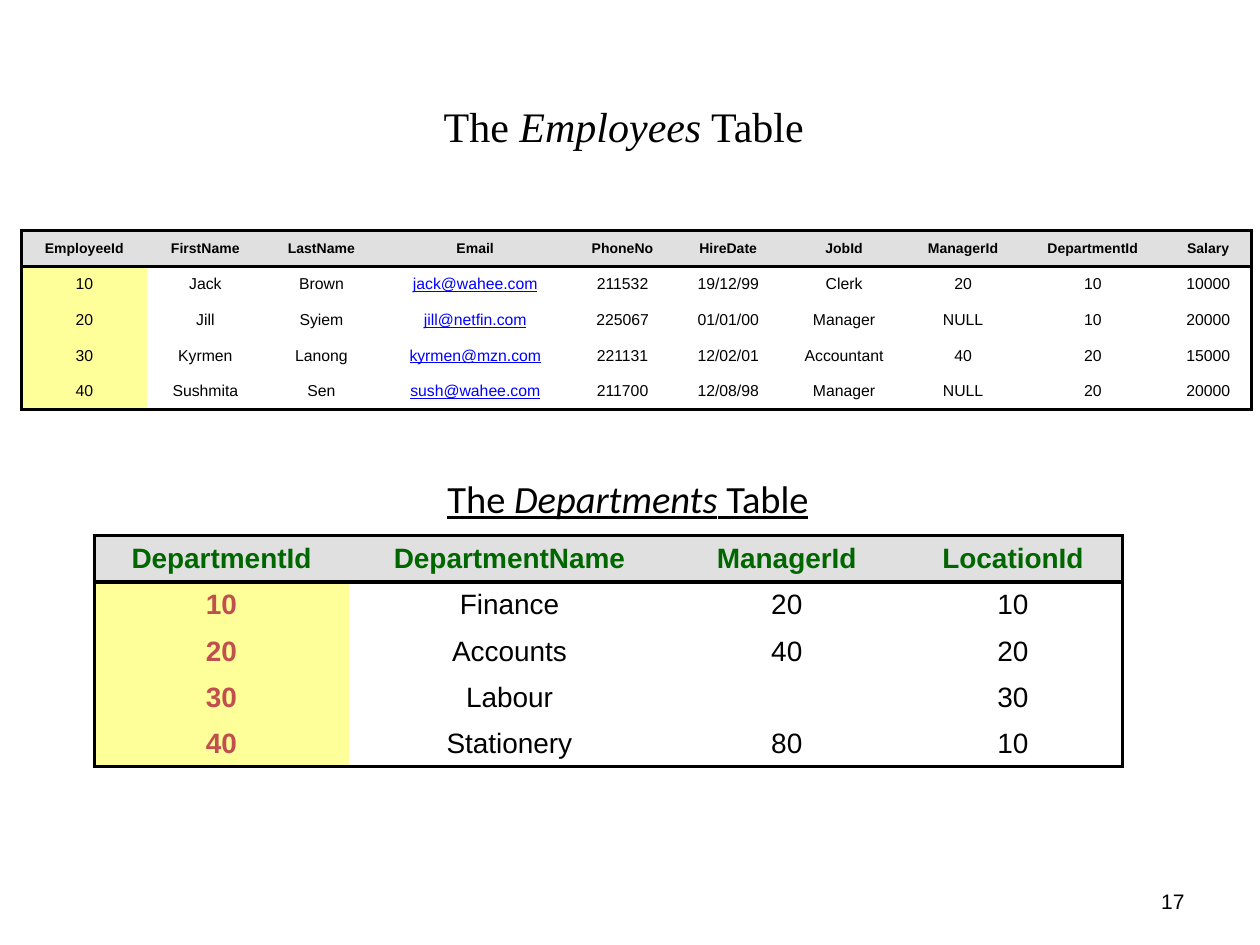
import lxml.etree
import pptx
import pptx.dml.color
import pptx.enum.text
import pptx.oxml.ns
import pptx.util

Cm, Pt = pptx.util.Cm, pptx.util.Pt
RGBColor = pptx.dml.color.RGBColor
ALIGN = pptx.enum.text.PP_ALIGN
MIDDLE = pptx.enum.text.MSO_ANCHOR.MIDDLE
FIT_SHAPE = pptx.enum.text.MSO_AUTO_SIZE.SHAPE_TO_FIT_TEXT
qn = pptx.oxml.ns.qn

BLACK = RGBColor(0x00, 0x00, 0x00)
BLUE = RGBColor(0x00, 0x00, 0xFF)
GREEN = RGBColor(0x00, 0x66, 0x00)
RED = RGBColor(0xC0, 0x50, 0x4D)
GREY = RGBColor(0xE0, 0xE0, 0xE0)
YELLOW = RGBColor(0xFF, 0xFF, 0x99)

EMPLOYEES = [
    ["EmployeeId", "FirstName", "LastName", "Email", "PhoneNo", "HireDate",
     "JobId", "ManagerId", "DepartmentId", "Salary"],
    ["10", "Jack", "Brown", "jack@wahee.com", "211532", "19/12/99",
     "Clerk", "20", "10", "10000"],
    ["20", "Jill", "Syiem", "jill@netfin.com", "225067", "01/01/00",
     "Manager", "NULL", "10", "20000"],
    ["30", "Kyrmen", "Lanong", "kyrmen@mzn.com", "221131", "12/02/01",
     "Accountant", "40", "20", "15000"],
    ["40", "Sushmita", "Sen", "sush@wahee.com", "211700", "12/08/98",
     "Manager", "NULL", "20", "20000"],
]
DEPARTMENTS = [
    ["DepartmentId", "DepartmentName", "ManagerId", "LocationId"],
    ["10", "Finance", "20", "10"],
    ["20", "Accounts", "40", "20"],
    ["30", "Labour", "", "30"],
    ["40", "Stationery", "80", "10"],
]


def set_borders(cell, visible_sides):
    """Draw 2 pt black lines on the given sides (of "LRTB") and none elsewhere."""
    properties = cell._tc.get_or_add_tcPr()
    for side in "LRTB":
        line = lxml.etree.SubElement(properties, qn(f"a:ln{side}"))
        if side in visible_sides:
            line.set("w", str(Pt(2)))
            fill = lxml.etree.SubElement(line, qn("a:solidFill"))
            lxml.etree.SubElement(fill, qn("a:srgbClr")).set("val", str(BLACK))
        else:
            lxml.etree.SubElement(line, qn("a:noFill"))


def add_heading(para, table_name, font_name, size, underline):
    for text in ("The ", table_name, " Table"):
        span = para.add_run()
        span.text = text
        span.font.name = font_name
        span.font.size = Pt(size)
        span.font.color.rgb = BLACK
        span.font.italic = text == table_name
        span.font.underline = underline


deck = pptx.Presentation()
deck.slide_width, deck.slide_height = Cm(25.4), Cm(19.05)
page = deck.slides.add_slide(deck.slide_layouts[5])

# Title
title = page.shapes.title
title.left, title.top, title.width, title.height = Cm(8.69), Cm(1.9), Cm(8.18), Cm(1.27)
title.text_frame.vertical_anchor = MIDDLE
title.text_frame.auto_size = FIT_SHAPE
title_para = title.text_frame.paragraphs[0]
title_para.alignment = ALIGN.LEFT
add_heading(title_para, "Employees", "Times New Roman", 24, False)

# Page number
number_box = page.shapes.add_textbox(Cm(18.21), Cm(17.65), Cm(5.92), Cm(1.02))
number_box.text_frame.word_wrap = True
number_box.text_frame.vertical_anchor = MIDDLE
number_box.text_frame.text = "17"
number_para = number_box.text_frame.paragraphs[0]
number_para.alignment = ALIGN.RIGHT
number_font = number_para.runs[0].font
number_font.name, number_font.size = "Arial", Pt(12)
number_font.color.rgb = BLACK

# Tables: rows, left, top, row height, column widths,
# header size, body size, header colour, key colour, key is bold
tables = [
    (EMPLOYEES, 0.43, 4.65, 0.72,
     [2.54, 2.34, 2.34, 3.86, 2.08, 2.18, 2.49, 2.31, 2.92, 1.73],
     8, 9, BLACK, BLACK, False),
    (DEPARTMENTS, 1.9, 10.8, 0.93, [5.13, 6.48, 4.7, 4.42],
     16, 16, GREEN, RED, True),
]
for (rows, left, top, row_height, widths,
     header_size, body_size, header_color, key_color, key_bold) in tables:
    last_row, last_column = len(rows) - 1, len(widths) - 1
    table = page.shapes.add_table(
        len(rows), len(widths), Cm(left), Cm(top),
        Cm(sum(widths)), Cm(row_height * len(rows))).table
    table.first_row = table.horz_banding = False
    for column, width in zip(table.columns, widths):
        column.width = Cm(width)
    for r, values in enumerate(rows):
        table.rows[r].height = Cm(row_height)
        for c, value in enumerate(values):
            cell = table.cell(r, c)
            is_header, is_key = r == 0, r > 0 and c == 0
            sides = "T" if r <= 1 else ""
            sides += "B" if r in (0, last_row) else ""
            sides += "L" if c == 0 else ""
            sides += "R" if c == last_column else ""
            set_borders(cell, sides)
            if is_header or is_key:
                cell.fill.solid()
                cell.fill.fore_color.rgb = GREY if is_header else YELLOW
            else:
                cell.fill.background()

            cell.vertical_anchor = MIDDLE
            size = Pt(header_size if is_header else body_size)
            para = cell.text_frame.paragraphs[0]
            if not value:
                # An empty cell must not make its row taller
                end = lxml.etree.SubElement(para._p, qn("a:endParaRPr"))
                end.set("sz", str(int(size.pt * 100)))
                continue
            para.text = value
            para.alignment = ALIGN.CENTER
            font = para.runs[0].font
            font.name, font.size = "Arial", size
            font.bold = is_header or (is_key and key_bold)
            font.color.rgb = header_color if is_header else key_color if is_key else BLACK
            if "@" in value:
                font.color.rgb = BLUE
                font.underline = True

# Heading of the second table
heading_box = page.shapes.add_textbox(Cm(8.1), Cm(9.45), Cm(9.12), Cm(1.19))
heading_box.text_frame.word_wrap = False
heading_box.text_frame.auto_size = FIT_SHAPE
heading_box.text_frame.vertical_anchor = MIDDLE
heading_para = heading_box.text_frame.paragraphs[0]
heading_para.alignment = ALIGN.CENTER
add_heading(heading_para, "Departments", "Calibri", 22, True)

deck.save("out.pptx")
